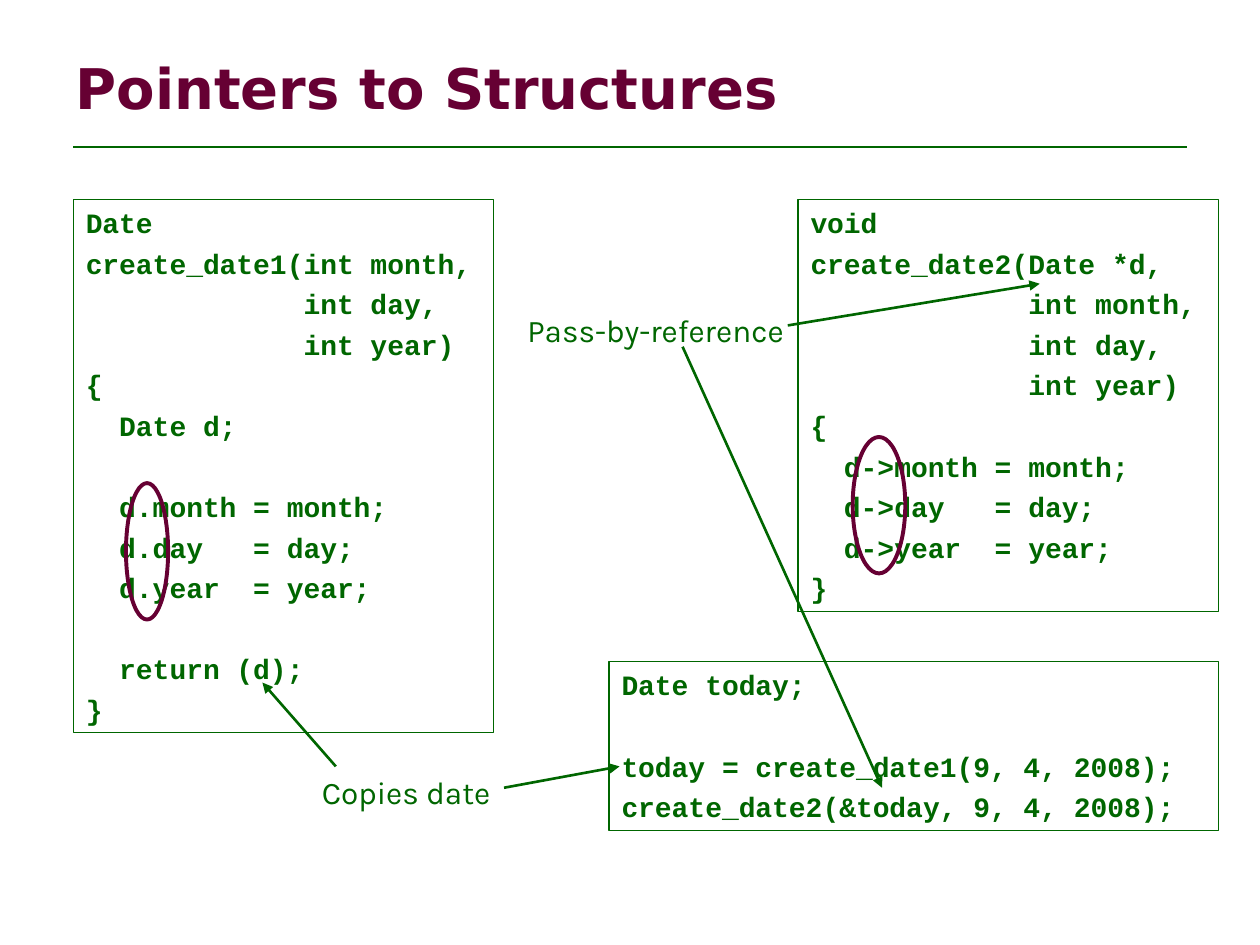
from lxml import etree
from pptx import Presentation
from pptx.dml.color import RGBColor
from pptx.enum.shapes import MSO_CONNECTOR, MSO_SHAPE
from pptx.enum.text import MSO_ANCHOR, PP_ALIGN
from pptx.oxml.ns import qn
from pptx.util import Cm, Pt

STRAIGHT = MSO_CONNECTOR.STRAIGHT
RECTANGLE, OVAL = MSO_SHAPE.RECTANGLE, MSO_SHAPE.OVAL
TOP, MIDDLE = MSO_ANCHOR.TOP, MSO_ANCHOR.MIDDLE
LEFT = PP_ALIGN.LEFT

COLOURS = {"green": "006600", "maroon": "660033", "white": "FFFFFF"}

RETURN_CODE = """Date
create_date1(int month,
             int day,
             int year)
{
  Date d;

  d.month = month;
  d.day   = day;
  d.year  = year;

  return (d);
}"""

POINTER_CODE = """void
create_date2(Date *d,
             int month,
             int day,
             int year)
{
  d->month = month;
  d->day   = day;
  d->year  = year;
}"""

CALL_CODE = """Date today;

today = create_date1(9, 4, 2008);
create_date2(&today, 9, 4, 2008);"""


def colour(name):
    return RGBColor.from_string(COLOURS[name])


def format_text(text_frame, font_name, size, colour_name, bold=False):
    for paragraph in text_frame.paragraphs:
        paragraph.alignment = LEFT
        paragraph.font.size = Pt(size)
        for run in paragraph.runs:
            run.font.name = font_name
            run.font.size = Pt(size)
            run.font.bold = bold
            run.font.color.rgb = colour(colour_name)


def add_line(slide, start, end, arrow=False):
    points = [Cm(length) for length in (*start, *end)]
    connector = slide.shapes.add_connector(STRAIGHT, *points)
    connector.line.color.rgb = colour("green")
    connector.line.width = Pt(1.5)
    if arrow:
        etree.SubElement(connector.line._get_or_add_ln(), qn("a:tailEnd"), type="triangle")
    etree.SubElement(connector._element.spPr, qn("a:effectLst"))


def add_outline(slide, kind, box, colour_name, width):
    shape = slide.shapes.add_shape(kind, *[Cm(length) for length in box])
    shape.shadow.inherit = False
    shape.fill.background()
    shape.line.color.rgb = colour(colour_name)
    shape.line.width = Pt(width)
    return shape


def add_heading(slide, box, text):
    left, top, width, height = box
    title = slide.shapes.title
    title.left, title.top, title.width, title.height = [Cm(length) for length in box]
    title.text_frame.text = text
    title.text_frame.vertical_anchor = MIDDLE
    format_text(title.text_frame, "DejaVu Sans", 32, "maroon", True)
    rule_y = top + height + 0.22
    add_line(slide, (left + 0.21, rule_y), (left + width - 0.21, rule_y))


def add_code(slide, box, code, ring=None):
    left, top = box[:2]
    text_frame = add_outline(slide, RECTANGLE, box, "green", 0.75).text_frame
    text_frame.word_wrap = True
    text_frame.vertical_anchor = TOP
    text_frame.text = code
    format_text(text_frame, "Courier New", 16, "green", True)
    for paragraph in text_frame.paragraphs[1:]:
        paragraph.space_before = Pt(4)
    if ring:
        x, y, width, height = ring
        add_outline(slide, OVAL, (left + x, top + y, width, height), "maroon", 2.25)


def add_label(slide, box, text):
    text_box = slide.shapes.add_textbox(*[Cm(length) for length in box])
    text_box.text_frame.word_wrap = False
    text_box.text_frame.text = text
    format_text(text_box.text_frame, "Karla", 18, "green")


def main():
    presentation = Presentation()
    presentation.slide_width = Cm(25.4)
    presentation.slide_height = Cm(19.05)
    slide = presentation.slides.add_slide(presentation.slide_layouts[5])
    slide.background.fill.solid()
    slide.background.fill.fore_color.rgb = colour("white")

    add_heading(slide, (1.27, 0.76, 22.86, 1.98), "Pointers to Structures")
    add_code(slide, (1.48, 4.02, 8.47, 10.75), RETURN_CODE, (1.06, 5.72, 0.85, 2.75))
    add_code(slide, (16.09, 4.02, 8.47, 8.31), POINTER_CODE, (1.1, 4.79, 1.06, 2.75))
    add_code(slide, (12.28, 13.34, 12.28, 3.4), CALL_CODE)
    add_label(slide, (6.24, 15.45, 4.02, 1.02), "Copies date")
    add_label(slide, (10.38, 6.14, 5.84, 1.02), "Pass-by-reference")

    arrows = [
        ((6.77, 15.45), (5.29, 13.76)),
        ((10.16, 15.88), (12.49, 15.45)),
        ((15.88, 6.56), (20.96, 5.72)),
        ((13.76, 6.99), (17.78, 15.88)),
    ]
    for start, end in arrows:
        add_line(slide, start, end, arrow=True)

    presentation.save("out.pptx")


if __name__ == "__main__":
    main()
